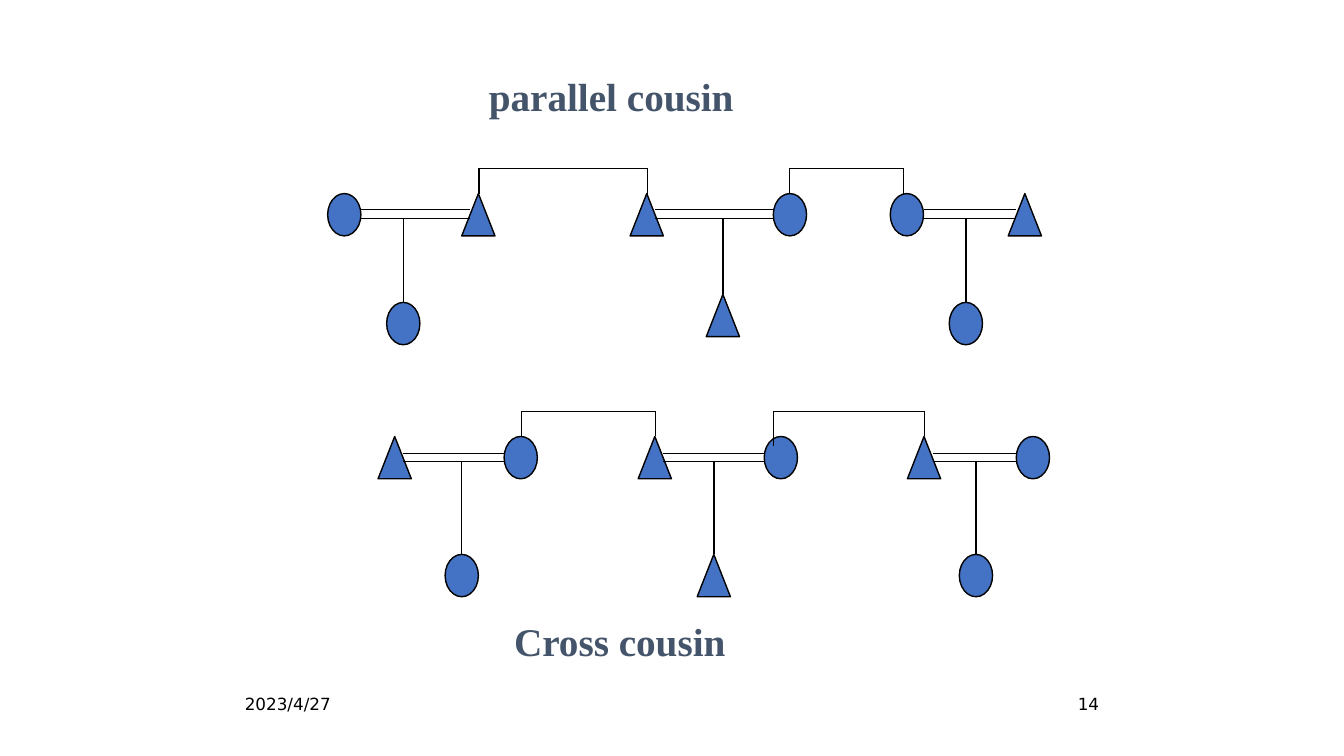
"""Build a kinship slide contrasting parallel and cross cousins."""
from lxml import etree
from pptx import Presentation
from pptx.dml.color import RGBColor
from pptx.enum import shapes, text
from pptx.oxml import ns
from pptx.util import Inches, Pt

BLUE = RGBColor(0x44, 0x72, 0xC4)
SLATE = RGBColor(0x44, 0x54, 0x6A)
BLACK = RGBColor(0, 0, 0)

MAN = shapes.MSO_SHAPE.FLOWCHART_EXTRACT
WOMAN = shapes.MSO_SHAPE.FLOWCHART_CONNECTOR
WIDTH, HEIGHT = 0.33, 0.42
SLOPE = 0.08
BRACKET_RISE = 0.25

# (kind, left) of both spouses, then (kind, centre, top) of their child
PARALLEL_FAMILIES = [
    ((WOMAN, 3.25), (MAN, 4.58), (WOMAN, 4, 3)),
    ((MAN, 6.25), (WOMAN, 7.67), (MAN, 7.17, 2.92)),
    ((WOMAN, 8.83), (MAN, 10), (WOMAN, 9.58, 3)),
]
CROSS_FAMILIES = [
    ((MAN, 3.75), (WOMAN, 5), (WOMAN, 4.58, 5.5)),
    ((MAN, 6.33), (WOMAN, 7.58), (MAN, 7.08, 5.5)),
    ((MAN, 9), (WOMAN, 10.08), (WOMAN, 9.68, 5.5)),
]
# (left, right, length of left leg)
PARALLEL_SIBLINGS = [(4.75, 6.42, 0.25), (7.83, 8.96, 0.25)]
CROSS_SIBLINGS = [(5.17, 6.5, 0.25), (7.67, 9.17, 0.34)]


def add_person(page, kind, left, top):
    """Draw a man as a triangle or a woman as an ellipse."""
    person = page.shapes.add_shape(
        kind, Inches(left), Inches(top), Inches(WIDTH), Inches(HEIGHT))
    person.shadow.inherit = False
    person.fill.solid()
    person.fill.fore_color.rgb = BLUE
    person.line.color.rgb = BLACK
    person.line.width = Pt(1)


def add_line(page, x1, y1, x2, y2):
    """Draw a thin black line without a shadow."""
    line = page.shapes.add_connector(
        shapes.MSO_CONNECTOR.STRAIGHT,
        Inches(x1), Inches(y1), Inches(x2), Inches(y2))
    line.line.color.rgb = BLACK
    line.line.width = Pt(1)
    etree.SubElement(line._element.spPr, ns.qn("a:effectLst"))


def add_family(page, husband_or_wife, spouse, child, top, marriage):
    """Draw two spouses, their double marriage line and their child."""
    left_kind, left = husband_or_wife
    right_kind, right = spouse
    child_kind, centre, child_top = child
    add_person(page, left_kind, left, top)
    add_person(page, right_kind, right, top)
    add_person(page, child_kind, centre - WIDTH / 2, child_top)
    start = left + WIDTH - (SLOPE if left_kind == MAN else 0)
    end = right + (SLOPE if right_kind == MAN else 0)
    for y in marriage:
        add_line(page, start, y, end, y)
    add_line(page, centre, marriage[-1], centre, child_top)


def add_generation(page, families, siblings, top, marriage):
    """Draw a row of families joined by sibling brackets."""
    for family in families:
        add_family(page, *family, top, marriage)
    bar = top - BRACKET_RISE
    for left, right, leg in siblings:
        add_line(page, left, bar, right, bar)
        add_line(page, left, bar, left, bar + leg)
        add_line(page, right, bar, right, top)


def add_label(page, words, place, size, font, color, bold=False,
              align=text.PP_ALIGN.LEFT):
    """Add one line of text in a wrapping box."""
    box = page.shapes.add_textbox(*map(Inches, place))
    box.text_frame.word_wrap = True
    para = box.text_frame.paragraphs[0]
    para.text = words
    para.alignment = align
    para.font.size = Pt(size)
    para.font.name = font
    para.font.bold = bold
    para.font.color.rgb = color


def main():
    """Compose the slide and save it."""
    deck = Presentation()
    deck.slide_width, deck.slide_height = Inches(13.33), Inches(7.5)
    page = deck.slides.add_slide(deck.slide_layouts[6])
    add_label(page, "2023/4/27", (2.33, 6.83, 2.17, 0.52), 12,
              "DejaVu Sans", BLACK)
    add_label(page, "14", (8.83, 6.83, 2.17, 0.52), 12,
              "DejaVu Sans", BLACK, align=text.PP_ALIGN.RIGHT)
    add_generation(page, PARALLEL_FAMILIES, PARALLEL_SIBLINGS, 1.92,
                   (2.08, 2.17))
    add_generation(page, CROSS_FAMILIES, CROSS_SIBLINGS, 4.33, (4.5, 4.58))
    add_label(page, "Cross cousin", (5, 6.08, 4.5, 0.57), 28,
              "Times New Roman", SLATE, bold=True)
    add_label(page, "parallel cousin", (4.75, 0.67, 4.42, 0.57), 28,
              "Times New Roman", SLATE, bold=True)
    deck.save("out.pptx")


if __name__ == "__main__":
    main()
